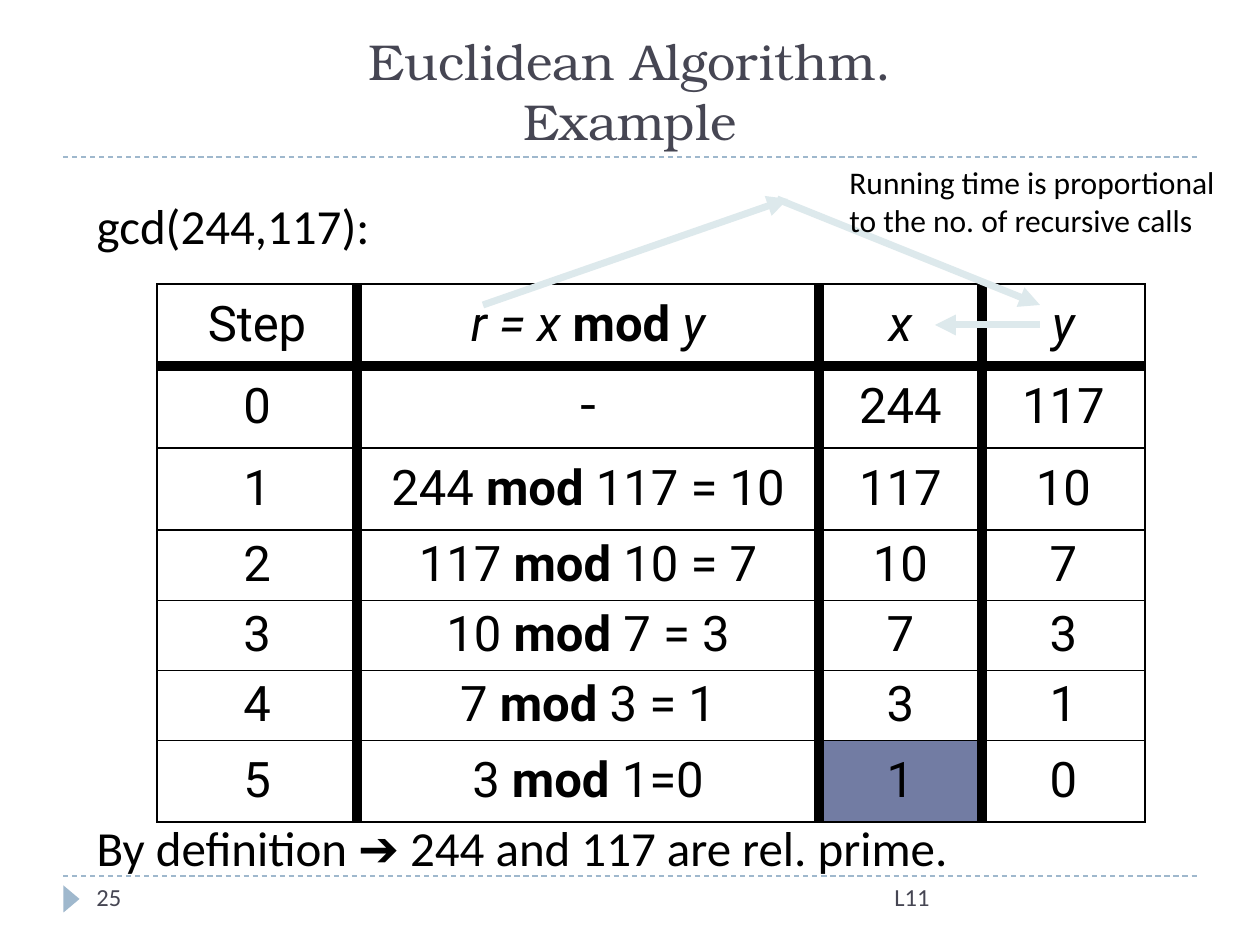
from lxml import etree
from pptx import Presentation
from pptx import util as u
from pptx.dml.color import RGBColor
from pptx.enum import dml, shapes, text
from pptx.oxml import ns

BLACK = RGBColor(0x00, 0x00, 0x00)
SLATE = RGBColor(0x46, 0x46, 0x53)
STEEL = RGBColor(0x9F, 0xB8, 0xCD)
PALE = RGBColor(0xDD, 0xE9, 0xEC)
INDIGO = RGBColor(0x72, 0x7C, 0xA3)

BODY = {"name": "Calibri", "size": u.Pt(28), "color": BLACK}
TITLE = {"name": "TeX Gyre Bonum", "size": u.Pt(28.8), "color": SLATE}
FOOT = {"name": "Calibri", "size": u.Pt(14), "color": SLATE}
NOTE = {"name": "Calibri", "size": u.Pt(18), "color": BLACK}
CELL = {"name": "Roboto", "size": u.Pt(28), "color": BLACK}

ROWS = [
    ("Step", "r = x mod y", "x", "y"),
    ("0", "-", "244", "117"),
    ("1", "244 mod 117 = 10", "117", "10"),
    ("2", "117 mod 10 = 7", "10", "7"),
    ("3", "10 mod 7 = 3", "7", "3"),
    ("4", "7 mod 3 = 1", "3", "1"),
    ("5", "3 mod 1=0", "1", "0"),
]
WIDTHS = (200, 462, 163, 163)
HEIGHTS = (82, 82, 82, 70, 70, 70, 82)


def px(n):
    return u.Emu(round(n * 914400 / 126))


def style(font, form):
    for key, value in form.items():
        if key == "color":
            font.color.rgb = value
        else:
            setattr(font, key, value)


def sub(parent, tag, **attrs):
    return etree.SubElement(parent, ns.qn(tag), attrs)


class Deck:
    def __init__(self, wide, high):
        self.prs = Presentation()
        self.prs.slide_width, self.prs.slide_height = px(wide), px(high)
        self.slide = self.prs.slides.add_slide(self.prs.slide_layouts[1])
        self.items = self.slide.shapes

    def fill_text(self, shape, lines, form, anchor, align):
        frame = shape.text_frame
        frame.word_wrap = True
        frame.auto_size = text.MSO_AUTO_SIZE.NONE
        frame.vertical_anchor = anchor
        frame.text = "\n".join(lines)
        for para in frame.paragraphs:
            para.alignment = align
            para.space_before = u.Pt(0)
            for run in para.runs:
                style(run.font, form)
        return frame.paragraphs

    def holder(self, index, box, lines, form, anchor=text.MSO_ANCHOR.TOP,
               align=text.PP_ALIGN.LEFT):
        shape = self.slide.placeholders[index]
        for key, value in zip(("left", "top", "width", "height"), box):
            setattr(shape, key, px(value))
        return self.fill_text(shape, lines, form, anchor, align)

    def label(self, box, words, form):
        shape = self.items.add_textbox(*map(px, box))
        self.fill_text(shape, [words], form, text.MSO_ANCHOR.TOP,
                       text.PP_ALIGN.LEFT)

    def line(self, ends, color, width, dash=None, arrow=False):
        link = self.items.add_connector(
            shapes.MSO_CONNECTOR.STRAIGHT, *map(px, ends))
        link.line.color.rgb = color
        link.line.width = u.Pt(width)
        if dash:
            link.line.dash_style = dash
        if arrow:
            sub(link.line._get_or_add_ln(), "a:tailEnd", type="triangle")
        sub(link._element.spPr, "a:effectLst")

    def marker(self, box, color):
        shape = self.items.add_shape(
            shapes.MSO_SHAPE.ISOSCELES_TRIANGLE, *map(px, box))
        shape.rotation = 90
        shape.shadow.inherit = False
        shape.fill.solid()
        shape.fill.fore_color.rgb = color
        shape.line.fill.background()

    def border(self, cell, side, width):
        line = sub(cell._tc.get_or_add_tcPr(), "a:ln" + side,
                   w=str(u.Pt(width)))
        sub(sub(line, "a:solidFill"), "a:srgbClr", val=str(BLACK))

    def cell(self, cell, words, form, slant):
        cell.vertical_anchor = text.MSO_ANCHOR.MIDDLE
        para = cell.text_frame.paragraphs[0]
        para.alignment = text.PP_ALIGN.CENTER
        for part in words.partition("mod "):
            if part:
                run = para.add_run()
                run.text = part
                bold = part == "mod "
                style(run.font, {**form, "bold": bold,
                                 "italic": slant and not bold})

    def table(self, left, top):
        grid = self.items.add_table(
            len(ROWS), len(WIDTHS), px(left), px(top),
            px(sum(WIDTHS)), px(sum(HEIGHTS))).table
        grid.first_row = grid.horz_banding = False
        for col, width in zip(grid.columns, WIDTHS):
            col.width = px(width)
        for row, height in zip(grid.rows, HEIGHTS):
            row.height = px(height)
        # Rule widths by position: heavy under the header and between columns
        across = (1, 6, 1, 1, 0.25, 0.25, 0.25, 1)
        down = (1, 6, 6, 6, 1)
        for r, row in enumerate(ROWS):
            for c, words in enumerate(row):
                cell = grid.cell(r, c)
                form = {**CELL, "name": "Courier New"} if words == "-" else CELL
                self.cell(cell, words, form, r == 0 and c > 0)
                for side, width in zip("LRTB", (down[c], down[c + 1],
                                                across[r], across[r + 1])):
                    self.border(cell, side, width)
                cell.fill.background()
        answer = grid.cell(len(ROWS) - 1, 2)
        answer.fill.solid()
        answer.fill.fore_color.rgb = INDIGO


def main():
    deck = Deck(1260, 945)

    # Rules and footer
    for y in (876, 157):
        deck.line((63, y, 1197, y), STEEL, 0.75, dml.MSO_LINE.DASH)
    deck.marker((58, 891, 27, 16), STEEL)
    deck.label((882, 876, 315, 50), "L11", FOOT)
    deck.label((84, 876, 273, 50), "25", FOOT)

    # Title, with its second line drawn a little to the left
    heads = deck.holder(0, (63, 21, 1134, 136),
                        ["Euclidean Algorithm.", "Example"], TITLE,
                        text.MSO_ANCHOR.BOTTOM, text.PP_ALIGN.CENTER)
    heads[1]._p.get_or_add_pPr().set("indent", str(px(-48)))

    # Body lines above and below the table
    paras = deck.holder(1, (84, 189, 1071, 735),
                        ["gcd(244,117):",
                         "By definition ➔ 244 and 117 are rel. prime."], BODY)
    for para in paras:
        props = para._p.get_or_add_pPr()
        props.set("marL", str(px(38)))
        props.set("indent", str(px(-38)))
        sub(props, "a:buNone")
    paras[1].space_before = u.Pt(322)

    # Steps of the algorithm
    deck.table(157, 284)

    # Arrows showing how the values move
    for ends in ((1040, 325, 935, 325), (483, 305, 788, 199),
                 (777, 199, 1040, 305)):
        deck.line(ends, PALE, 4, arrow=True)
    deck.label((837, 157, 423, 90),
               "Running time is proportional to the no. of recursive calls",
               NOTE)

    deck.prs.save("out.pptx")


if __name__ == "__main__":
    main()
